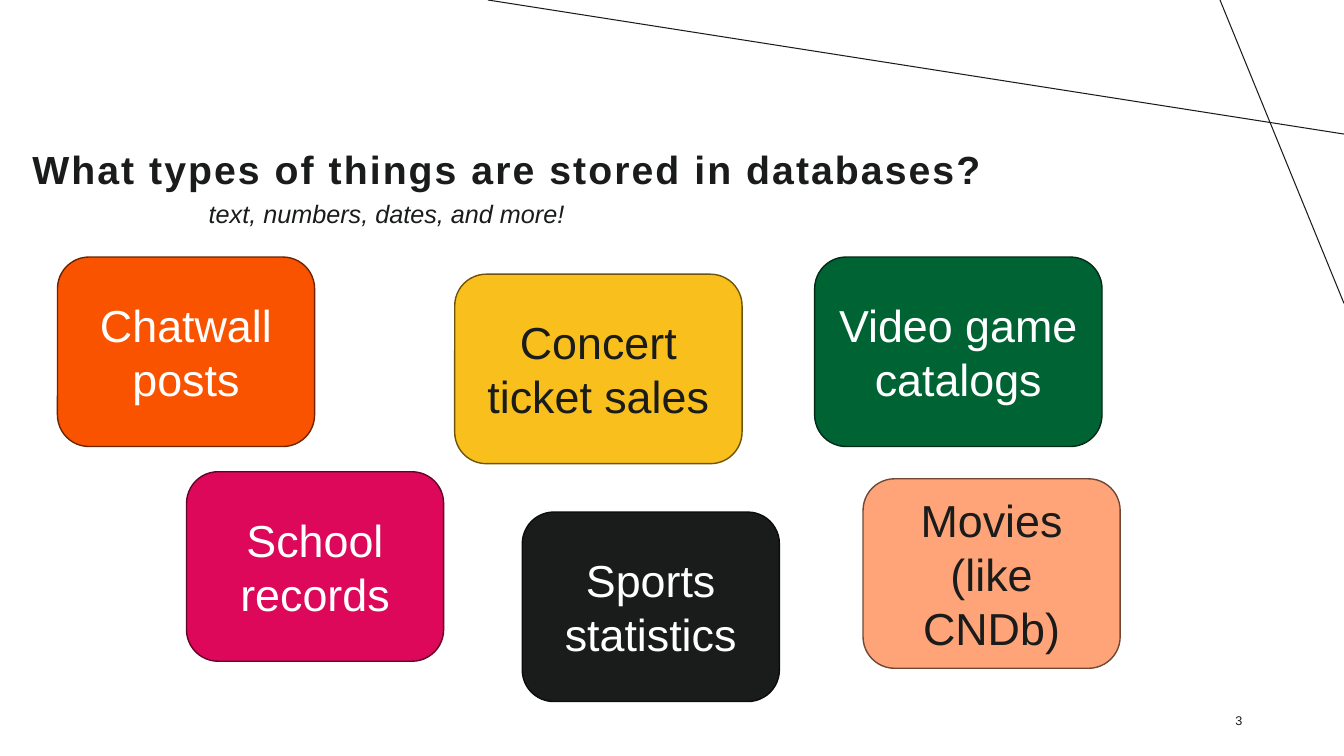
from lxml import etree
from pptx import Presentation
from pptx.dml.color import RGBColor
from pptx.enum import shapes, text
from pptx.oxml import ns
from pptx.util import Inches, Pt

FONT = "Arial"
INK = RGBColor(0x19, 0x1C, 0x1A)
WHITE = RGBColor(0xFF, 0xFF, 0xFF)
ORANGE = RGBColor(0xF9, 0x53, 0x00)
ORANGE_EDGE = RGBColor(0x6D, 0x24, 0x00)
PINK = RGBColor(0xDD, 0x08, 0x5A)
PINK_EDGE = RGBColor(0x61, 0x04, 0x27)
YELLOW = RGBColor(0xF9, 0xBF, 0x1C)
YELLOW_EDGE = RGBColor(0x6D, 0x54, 0x0C)
INK_EDGE = RGBColor(0x0B, 0x0C, 0x0B)
GREEN = RGBColor(0x00, 0x63, 0x34)
GREEN_EDGE = RGBColor(0x00, 0x2B, 0x17)
PEACH = RGBColor(0xFF, 0xA4, 0x79)
PEACH_EDGE = RGBColor(0x70, 0x48, 0x35)

NARROW, WIDE, CARD_HEIGHT = 2.55, 2.85, 1.88

# left, top, width, fill, edge, text colour, paragraphs
CARDS = [
    (0.57, 2.55, NARROW, ORANGE, ORANGE_EDGE, WHITE, ["Chatwall posts"]),
    (1.85, 4.68, NARROW, PINK, PINK_EDGE, WHITE, ["School records"]),
    (4.51, 2.72, WIDE, YELLOW, YELLOW_EDGE, INK, ["Concert ticket sales"]),
    (5.18, 5.08, NARROW, INK, INK_EDGE, WHITE, ["Sports statistics"]),
    (8.08, 2.55, WIDE, GREEN, GREEN_EDGE, WHITE, ["Video game catalogs"]),
    (8.56, 4.75, NARROW, PEACH, PEACH_EDGE, INK, ["Movies", "(like CNDb)"]),
]


def add_run(p, words, size, color, bold=False, italic=False):
    r = p.add_run()
    r.text = words
    r.font.name = FONT
    r.font.size = Pt(size)
    r.font.color.rgb = color
    r.font.bold = bold
    r.font.italic = italic
    return r


def add_line(s, x1, y1, x2, y2):
    line = s.shapes.add_connector(shapes.MSO_CONNECTOR.STRAIGHT, Inches(x1),
                                  Inches(y1), Inches(x2), Inches(y2))
    line.line.color.rgb = INK
    line.line.width = Pt(0.75)
    etree.SubElement(line._element.spPr, ns.qn("a:effectLst"))


def set_title(s, words):
    title = s.shapes.title
    title.left, title.top = Inches(0.22), Inches(1)
    title.width, title.height = Inches(10.89), Inches(0.91)
    tf = title.text_frame
    tf.auto_size = text.MSO_AUTO_SIZE.NONE
    tf.vertical_anchor = text.MSO_ANCHOR.BOTTOM
    tf.margin_bottom = 0
    p = tf.paragraphs[0]
    p.alignment = text.PP_ALIGN.LEFT
    p.line_spacing = 0.9
    r = add_run(p, words, 28, INK, bold=True)
    r.font._element.set("spc", "150")  # letter spacing of 1.5 pt


def add_label(s, left, top, width, height, words, size, align, italic=False):
    box = s.shapes.add_textbox(Inches(left), Inches(top), Inches(width), Inches(height))
    tf = box.text_frame
    tf.word_wrap = True
    tf.vertical_anchor = text.MSO_ANCHOR.MIDDLE
    p = tf.paragraphs[0]
    p.alignment = align
    add_run(p, words, size, INK, italic=italic)


def add_card(s, left, top, width, fill, edge, color, paragraphs):
    sp = s.shapes.add_shape(shapes.MSO_SHAPE.ROUNDED_RECTANGLE, Inches(left),
                            Inches(top), Inches(width), Inches(CARD_HEIGHT))
    sp.shadow.inherit = False
    sp.fill.solid()
    sp.fill.fore_color.rgb = fill
    sp.line.color.rgb = edge
    sp.line.width = Pt(1)
    tf = sp.text_frame
    tf.word_wrap = True
    tf.vertical_anchor = text.MSO_ANCHOR.MIDDLE
    for i, words in enumerate(paragraphs):
        p = tf.add_paragraph() if i else tf.paragraphs[0]
        p.alignment = text.PP_ALIGN.CENTER
        add_run(p, words, 32, color)


def main():
    prs = Presentation()
    prs.slide_width, prs.slide_height = Inches(13.33), Inches(7.5)
    s = prs.slides.add_slide(prs.slide_layouts[5])

    # Crossing lines in the top right corner
    add_line(s, 13.33, 1.33, 4.84, 0)
    add_line(s, 12.1, 0, 13.33, 3.01)

    # Title, subtitle and slide number
    set_title(s, "What types of things are stored in databases?")
    add_label(s, 1.21, 1.91, 5.25, 0.42, "text, numbers, dates, and more!", 18,
              text.PP_ALIGN.CENTER, italic=True)
    add_label(s, 11.34, 6.95, 1.08, 0.4, "3", 9, text.PP_ALIGN.RIGHT)

    # Example cards
    for card in CARDS:
        add_card(s, *card)

    prs.save("out.pptx")


if __name__ == "__main__":
    main()
